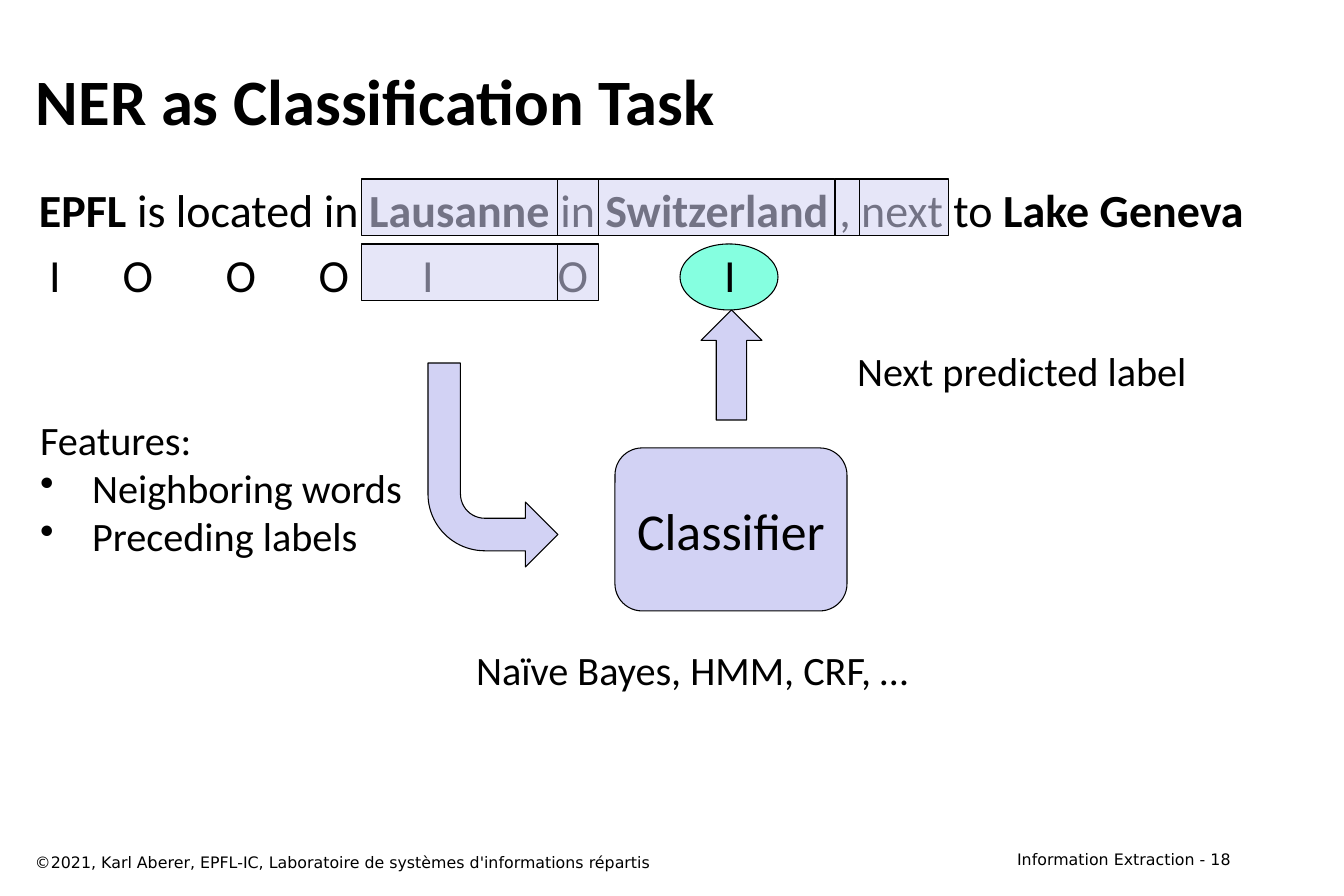
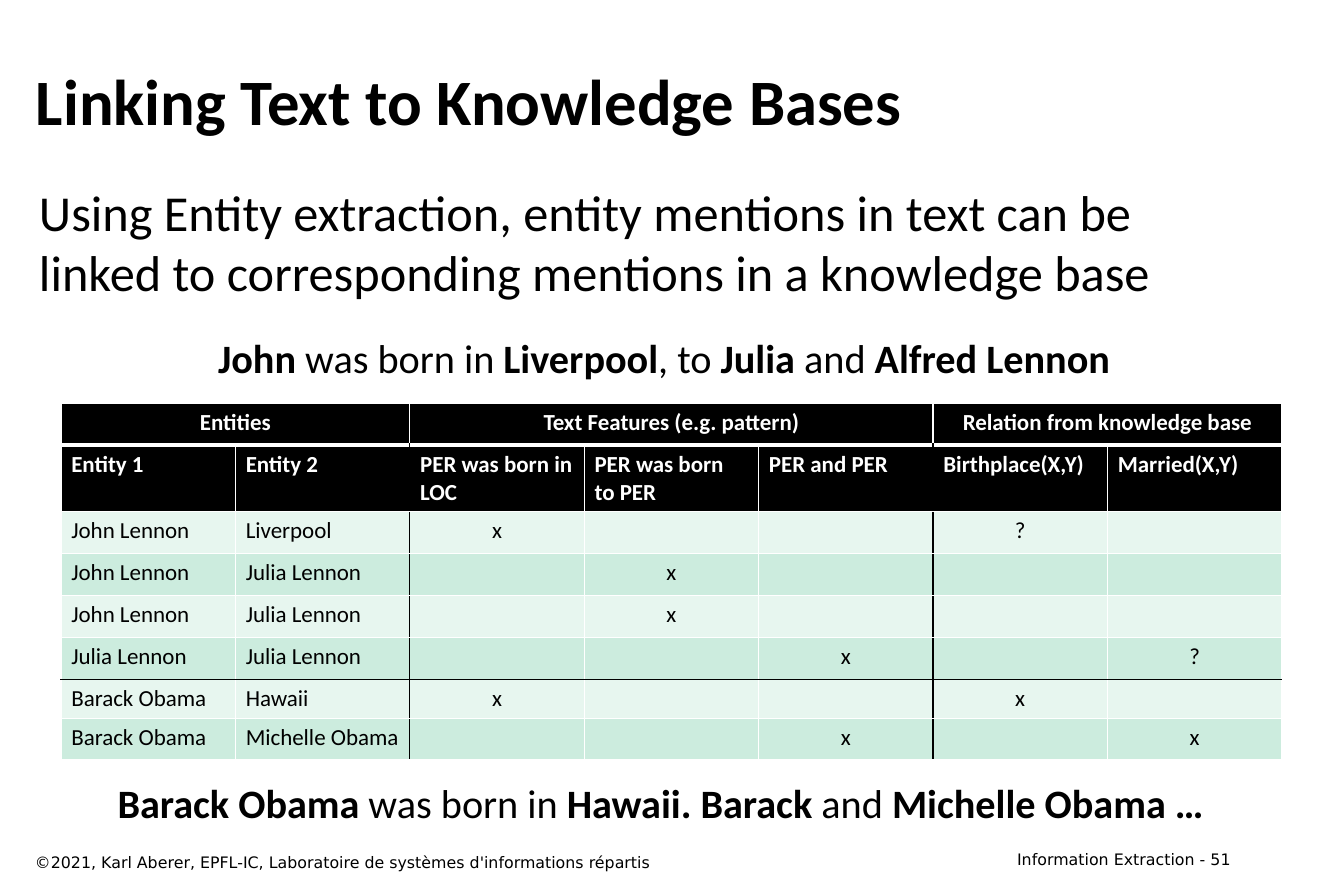
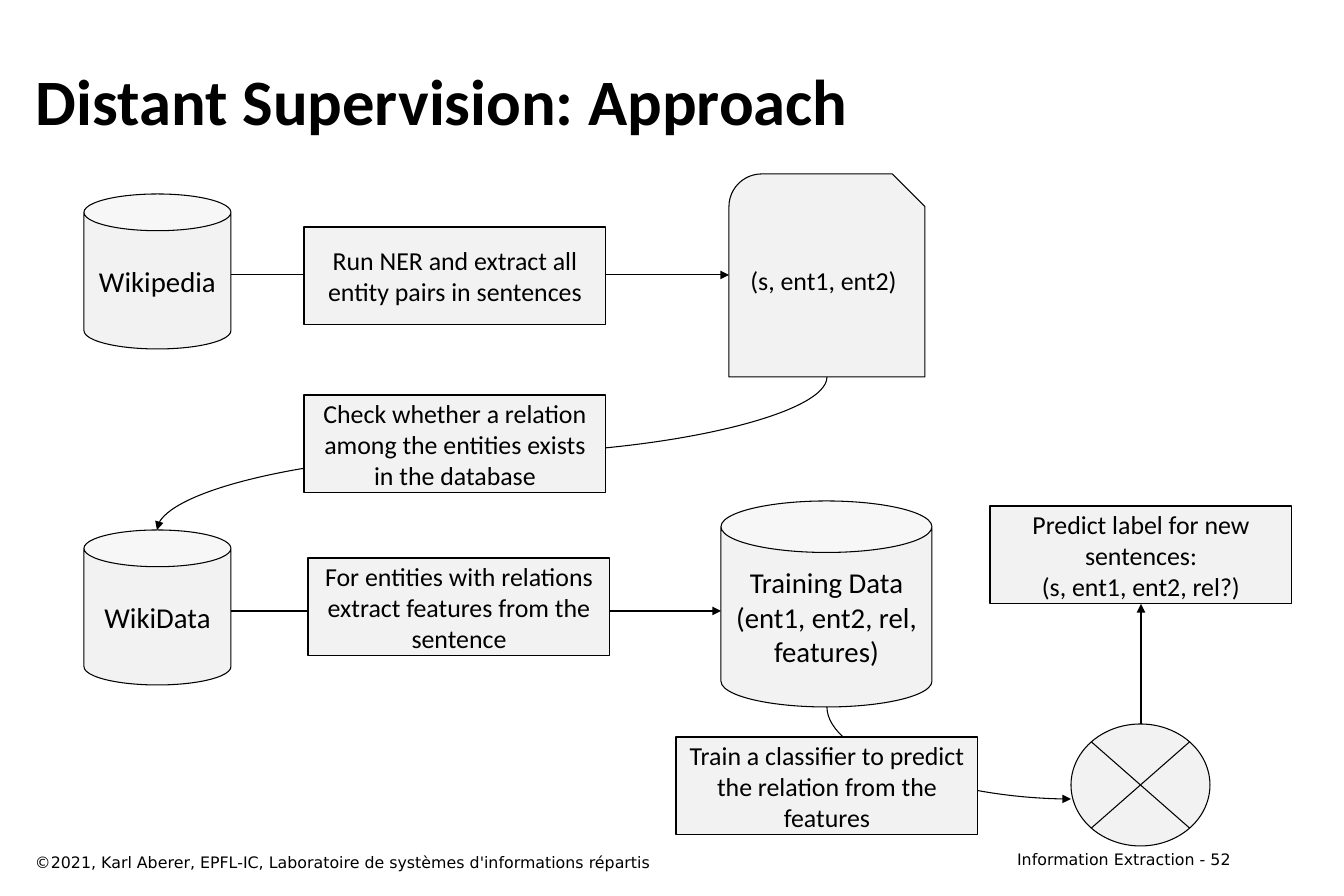
from lxml.etree import SubElement
from pptx import Presentation
from pptx.dml.color import RGBColor
from pptx.enum.shapes import MSO_CONNECTOR, MSO_SHAPE
from pptx.enum.text import MSO_ANCHOR, MSO_AUTO_SIZE, PP_ALIGN
from pptx.oxml.ns import qn
from pptx.util import Pt

SCALE = 914400 / 103.5
WIDTH, HEIGHT = 1344, 896

BLACK = RGBColor(0x00, 0x00, 0x00)
WHITE = RGBColor(0xFF, 0xFF, 0xFF)
LILAC = RGBColor(0xD2, 0xD2, 0xF4)
AQUA = RGBColor(0x85, 0xFF, 0xE0)
GREY = RGBColor(0xF2, 0xF2, 0xF2)
MINT = RGBColor(0xE7, 0xF6, 0xEF)
GREEN = RGBColor(0xCC, 0xEC, 0xDE)

MAIN, SMALL = "Calibri", "DejaVu Sans"
LEFT, CENTER, RIGHT = PP_ALIGN.LEFT, PP_ALIGN.CENTER, PP_ALIGN.RIGHT
OWNER = "©2021, Karl Aberer, EPFL-IC, Laboratoire de systèmes d'informations répartis"


def emu(px):
    return round(px * SCALE)


def place(shape, x, y, w, h):
    shape.left, shape.top, shape.width, shape.height = map(emu, (x, y, w, h))


# Text

def fill_text(frame, lines):
    """Write one paragraph per line; parts between asterisks are bold."""
    for i, line in enumerate(lines):
        par = frame.add_paragraph() if i else frame.paragraphs[0]
        for j, part in enumerate(line.split("*")):
            if part:
                run = par.add_run()
                run.text = part
                if j % 2:
                    run.font.bold = True


def dress(frame, size, color=BLACK, name=MAIN, bold=False, align=LEFT):
    for par in frame.paragraphs:
        par.alignment = align
        font = par.font
        font.size, font.name, font.bold = Pt(size), name, bold
        font.color.rgb = color


def pad(frame):
    """Give a frame the insets of the template and a fixed size."""
    frame.word_wrap = True
    frame.auto_size = MSO_AUTO_SIZE.NONE
    frame.margin_left = frame.margin_right = emu(12)
    frame.margin_top = frame.margin_bottom = emu(6)


def set_bullet(par, char=None, indent=0):
    props = par._p.get_or_add_pPr()
    props.set("marL", str(emu(indent)))
    props.set("indent", str(-emu(indent)))
    if char:
        SubElement(props, qn("a:buChar"), char=char)
    else:
        SubElement(props, qn("a:buNone"))


def add_text(slide, box, lines, size, bullets=(), **style):
    shape = slide.shapes.add_textbox(*map(emu, box))
    frame = shape.text_frame
    frame.word_wrap = True
    fill_text(frame, lines)
    for i in bullets:
        set_bullet(frame.paragraphs[i], "•", 52)
    dress(frame, size, **style)
    return frame


# Shapes

def add_box(slide, kind, box, fill, lines=(), size=18, alpha=None):
    shape = slide.shapes.add_shape(kind, *map(emu, box))
    shape.shadow.inherit = False
    shape.fill.solid()
    shape.fill.fore_color.rgb = fill
    if alpha:
        color = shape.element.spPr.find(qn("a:solidFill"))[0]
        SubElement(color, qn("a:alpha"), val=str(alpha * 1000))
    shape.line.color.rgb = BLACK
    shape.line.width = Pt(0.75)
    if lines:
        frame = shape.text_frame
        frame.word_wrap = True
        frame.vertical_anchor = MSO_ANCHOR.MIDDLE
        fill_text(frame, lines)
        dress(frame, size, align=CENTER)
    return shape


def add_arrow(slide, start, end, kind=MSO_CONNECTOR.STRAIGHT):
    arrow = slide.shapes.add_connector(kind, *map(emu, start + end))
    arrow.line.color.rgb = BLACK
    arrow.line.width = Pt(0.75)
    props = arrow.element.spPr
    SubElement(props.find(qn("a:ln")), qn("a:tailEnd"), type="triangle")
    SubElement(props, qn("a:effectLst"))
    return arrow


def add_curve(slide, start, end, preset, turn, flip, tail, head=None):
    """Curve that leaves downwards; tail and head are (shape, site) pairs."""
    arrow = add_arrow(slide, start, end, MSO_CONNECTOR.CURVE)
    arrow.begin_connect(*tail)
    if head:
        arrow.end_connect(*head)
    props = arrow.element.spPr
    props.find(qn("a:prstGeom")).set("prst", preset)
    frame = props.find(qn("a:xfrm"))
    for name in ("flipH", "flipV"):
        frame.attrib.pop(name, None)
    frame.set("rot", str(turn * 60000))
    if flip:
        frame.set("flipH", "1")
    w, h = abs(end[1] - start[1]), abs(end[0] - start[0])
    mid_x, mid_y = (start[0] + end[0]) / 2, (start[1] + end[1]) / 2
    place(arrow, mid_x - w / 2, mid_y - h / 2, w, h)


# Shared frame of the slides

def add_slide(deck, layout, title, number):
    slide = deck.slides.add_slide(deck.slide_layouts[layout])
    head = slide.shapes.title
    place(head, 24, 40, 1221, 120)
    pad(head.text_frame)
    head.text_frame.vertical_anchor = MSO_ANCHOR.MIDDLE
    fill_text(head.text_frame, [title])
    dress(head.text_frame, 45, bold=True)
    pad(add_text(slide, (963, 844, 280, 30), [f"Information Extraction - {number}"],
                 11, name=SMALL, align=RIGHT))
    pad(add_text(slide, (23, 847, 863, 30), [OWNER], 11, name=SMALL))
    return slide


def fill_body(slide, line, size):
    body = slide.placeholders[1]
    place(body, 27, 175, 1241, 657)
    frame = body.text_frame
    pad(frame)
    fill_text(frame, [line])
    par = frame.paragraphs[0]
    par.space_before = Pt(0)
    set_bullet(par)
    dress(frame, size)


# Slide 1

LABELS = [("I", 55), ("O", 138), ("O", 241), ("O", 334), ("I", 428),
          ("O", 573), ("I", 730)]


def add_labels(slide, y):
    """Centre each label on its x, below its word."""
    for label, x in LABELS:
        add_text(slide, (x - 30, y, 60, 66), [label], 32, align=CENTER)


def add_window(slide, x, y):
    """Mark the words and labels that the classifier sees."""
    edges = [0, 196, 237, 473, 498, 587]
    for top, count in ((0, 5), (65, 2)):
        for a, b in zip(edges[:count], edges[1:]):
            add_box(slide, MSO_SHAPE.RECTANGLE, (x + a, y + top, b - a, 57),
                    LILAC, alpha=55)


def add_model(slide, x, y):
    bend = add_box(slide, MSO_SHAPE.BENT_ARROW, (x, y + 53, 130, 204), LILAC)
    bend.rotation = 180
    bend.element.spPr.find(qn("a:xfrm")).set("flipH", "1")
    add_box(slide, MSO_SHAPE.ROUNDED_RECTANGLE, (x + 187, y + 138, 232, 163),
            LILAC, ["Classifier"], 36)
    add_box(slide, MSO_SHAPE.UP_ARROW, (x + 273, y, 61, 110), LILAC)
    add_text(slide, (x - 398, y + 100, 396, 156),
             ["Features:", "Neighboring words", "Preceding labels"], 28, (1, 2))
    add_text(slide, (x + 419, y + 31, 380, 59), ["Next predicted label"], 28)
    add_text(slide, (x + 38, y + 330, 480, 59), ["Naïve Bayes, HMM, CRF, …"], 28)


def make_task(deck):
    slide = add_slide(deck, 1, "NER as Classification Task", 18)
    fill_body(slide, "*EPFL* is located in *Lausanne* in *Switzerland *, next to "
                     "*Lake Geneva*", 32)
    add_box(slide, MSO_SHAPE.OVAL, (680, 244, 98, 66), AQUA)
    add_labels(slide, 241)
    add_window(slide, 362, 179)
    add_model(slide, 428, 310)


# Slide 2

GROUPS = [(0, 1, "Entities"), (2, 4, "Text Features (e.g. pattern)"),
          (5, 6, "Relation from knowledge base")]
HEADS = ["Entity 1", "Entity 2", "PER was born in LOC", "PER was born to PER",
         "PER and PER", "Birthplace(X,Y)", "Married(X,Y)"]
FACTS = [
    ("John Lennon", "Liverpool", {2: "x", 5: "?"}),
    ("John Lennon", "Julia Lennon", {3: "x"}),
    ("John Lennon", "Julia Lennon", {3: "x"}),
    ("Julia Lennon", "Julia Lennon", {4: "x", 6: "?"}),
    ("Barack Obama", "Hawaii", {2: "x", 5: "x"}),
    ("Barack Obama", "Michelle Obama", {4: "x", 6: "x"}),
]
ROWS = [42, 66, 42, 42, 42, 42, 39, 41]


def add_edges(cell, row, col):
    """Black rules part the column groups and the known from the new facts."""
    def across(k):
        return (BLACK if k == 6 else WHITE), (3 if k == 1 else 1)

    def down(k):
        return (BLACK if row and k in (2, 5) else WHITE), 1

    props = cell._tc.get_or_add_tcPr()
    sides = {"L": down(col), "R": down(col + 1),
             "T": across(row), "B": across(row + 1)}
    for side, (color, width) in sides.items():
        line = SubElement(props, qn("a:ln" + side), w=str(Pt(width)))
        paint = SubElement(line, qn("a:solidFill"))
        SubElement(paint, qn("a:srgbClr"), val=str(color))


def add_facts(slide, x, y, w):
    count = len(HEADS)
    table = slide.shapes.add_table(len(ROWS), count, emu(x), emu(y), emu(w),
                                   emu(sum(ROWS))).table
    table.first_row = table.horz_banding = False
    for col in table.columns:
        col.width = emu(w / count)
    for row, height in zip(table.rows, ROWS):
        row.height = emu(height)
    tops = [""] * count
    for first, last, name in GROUPS:
        table.cell(0, first).merge(table.cell(0, last))
        tops[first] = name
    grid = [tops, HEADS]
    for one, two, marks in FACTS:
        grid.append([one, two] + [marks.get(c, "") for c in range(2, count)])
    for r, texts in enumerate(grid):
        for c, text in enumerate(texts):
            cell = table.cell(r, c)
            if cell.is_spanned:
                continue
            add_edges(cell, r, c)
            cell.fill.solid()
            cell.fill.fore_color.rgb = BLACK if r < 2 else (MINT, GREEN)[r % 2]
            fill_text(cell.text_frame, [text])
            dress(cell.text_frame, 16, WHITE if r < 2 else BLACK, bold=r < 2,
                  align=CENTER if r == 0 or (r > 1 and c > 1) else LEFT)


def make_link(deck):
    slide = add_slide(deck, 1, "Linking Text to Knowledge Bases", 51)
    fill_body(slide, "Using Entity extraction, entity mentions in text can be "
                     "linked to corresponding mentions in a knowledge base", 35)
    add_facts(slide, 61, 403, 1221)
    add_text(slide, (194, 328, 940, 59),
             ["*John* was born in *Liverpool*, to *Julia* and *Alfred Lennon*"],
             28, align=CENTER)
    add_text(slide, (90, 773, 1141, 59),
             ["*Barack Obama* was born in *Hawaii. Barack* and "
              "*Michelle Obama …*"], 28, align=CENTER)


# Slide 3

def add_flow(slide, x, y):
    def at(left, top, w, h):
        return x + left, y + top, w, h

    def dot(left, top):
        return x + left, y + top

    def step(left, top, *lines):
        add_box(slide, MSO_SHAPE.RECTANGLE, at(left, top, 302, 98), GREY, lines)

    def store(box, *lines):
        return add_box(slide, MSO_SHAPE.CAN, at(*box), GREY, lines, 20)

    store((0, 20, 147, 155), "Wikipedia")
    pairs = add_box(slide, MSO_SHAPE.SNIP_ROUND_RECTANGLE,
                    at(645, 0, 196, 203), GREY, ["(s, ent1, ent2)"])
    facts = store((0, 356, 147, 155), "WikiData")
    add_arrow(slide, dot(147, 101), dot(645, 101))
    step(220, 53, "Run NER and extract all entity pairs in sentences")
    add_curve(slide, dot(743, 203), dot(73, 356), "curvedConnector3", 90, False,
              (pairs, 1), (facts, 1))
    step(220, 221, "Check whether a relation among the entities exists "
                   "in the database")
    train = store((637, 327, 211, 206), "Training Data",
                  "(ent1, ent2, rel, features)")
    add_arrow(slide, dot(147, 437), dot(637, 437))
    step(224, 384, "For entities with relations extract features from "
                   "the sentence")
    add_box(slide, MSO_SHAPE.FLOWCHART_SUMMING_JUNCTION,
            at(987, 550, 139, 122), GREY)
    add_curve(slide, dot(743, 533), dot(987, 625), "curvedConnector2", 270, True,
              (train, 3))
    step(592, 563, "Train a classifier to predict the relation from the features")
    step(906, 332, "Predict label for new sentences:", "(s, ent1, ent2, rel?)")
    add_arrow(slide, dot(1057, 550), dot(1057, 430))


def make_plan(deck):
    slide = add_slide(deck, 5, "Distant Supervision: Approach", 52)
    add_flow(slide, 84, 174)


def main():
    deck = Presentation()
    deck.slide_width, deck.slide_height = emu(WIDTH), emu(HEIGHT)
    make_task(deck)
    make_link(deck)
    make_plan(deck)
    deck.save("out.pptx")


if __name__ == "__main__":
    main()
